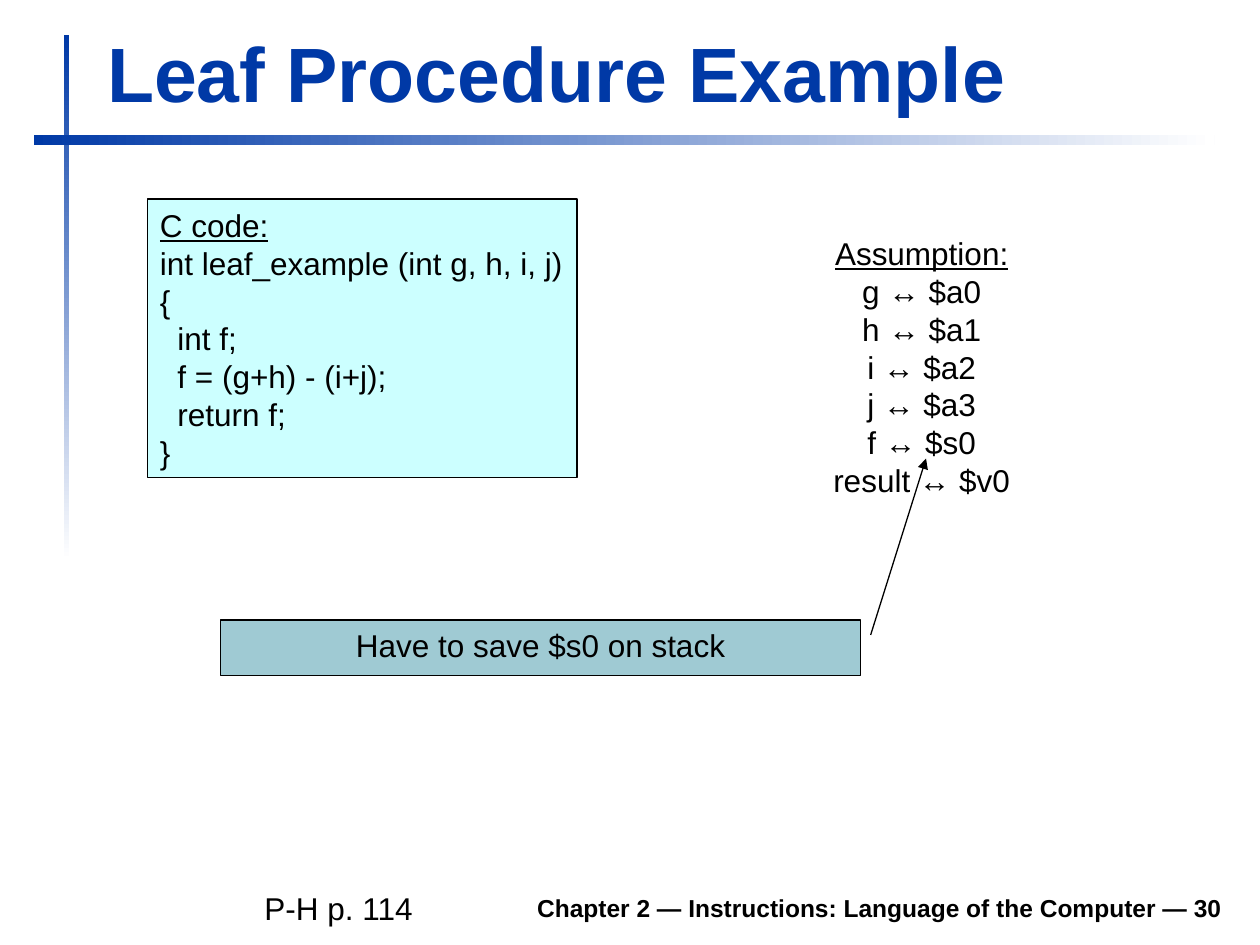
from dataclasses import dataclass

from lxml.etree import SubElement
from pptx import Presentation
from pptx.dml.color import RGBColor
from pptx.enum.shapes import MSO_SHAPE
from pptx.enum.text import MSO_ANCHOR, MSO_AUTO_SIZE, PP_ALIGN
from pptx.oxml.ns import qn
from pptx.util import Inches, Pt


@dataclass(frozen=True)
class Theme:
    font: str = "Arial"
    accent: RGBColor = RGBColor(0x00, 0x39, 0xA6)
    paper: RGBColor = RGBColor(0xFF, 0xFF, 0xFF)
    ink: RGBColor = RGBColor(0x00, 0x00, 0x00)
    code_fill: RGBColor = RGBColor(0xCC, 0xFF, 0xFF)
    note_fill: RGBColor = RGBColor(0x9F, 0xCA, 0xD3)
    title_size: int = 44
    body_size: int = 18
    footer_size: int = 14
    outline: float = 0.75
    line_pitch: float = 1.2


THEME = Theme()
CODE = ["C code:", "int leaf_example (int g, h, i, j)", "{", "  int f;",
        "  f = (g+h) - (i+j);", "  return f;", "}"]
REGISTERS = {"g": "$a0", "h": "$a1", "i": "$a2", "j": "$a3",
             "f": "$s0", "result": "$v0"}


def write(frame, lines, size=THEME.body_size, color=THEME.ink, bold=False,
          align=PP_ALIGN.LEFT, anchor=MSO_ANCHOR.TOP, wrap=True,
          heading=False, pitch=None):
    """Fill a frame; leading spaces become indents, a heading is underlined."""
    frame.auto_size = MSO_AUTO_SIZE.NONE
    frame.word_wrap = wrap
    frame.vertical_anchor = anchor
    for index, line in enumerate(lines):
        paragraph = frame.paragraphs[0] if index == 0 else frame.add_paragraph()
        paragraph.alignment = align
        if pitch:
            paragraph.line_spacing = Pt(size * pitch)
        if line.startswith(" "):
            paragraph._p.get_or_add_pPr().set("marL", str(Inches(0.14)))
        run = paragraph.add_run()
        run.text = line.lstrip()
        font = run.font
        font.name, font.size, font.bold = THEME.font, Pt(size), bold
        font.color.rgb = color
        font.underline = heading and index == 0


def add_label(slide, box, lines, **text_format):
    label = slide.shapes.add_textbox(*map(Inches, box))
    write(label.text_frame, lines, **text_format)


def add_panel(slide, box, fill, preset=MSO_SHAPE.RECTANGLE):
    panel = slide.shapes.add_shape(preset, *map(Inches, box))
    panel.shadow.inherit = False
    panel.fill.solid()
    panel.fill.fore_color.rgb = fill
    panel.line.color.rgb = THEME.ink
    panel.line.width = Pt(THEME.outline)
    return panel


def add_fading_rule(slide, box, angle):
    rule = slide.shapes.add_shape(MSO_SHAPE.RECTANGLE, *map(Inches, box))
    rule.shadow.inherit = False
    rule.line.fill.background()
    rule.fill.gradient()
    rule.fill.gradient_angle = angle
    for stop, color in zip(rule.fill.gradient_stops, (THEME.accent, THEME.paper)):
        stop.color.rgb = color


def add_title(slide, box, text):
    title = slide.shapes.title
    title.left, title.top, title.width, title.height = map(Inches, box)
    write(title.text_frame, [text], size=THEME.title_size, color=THEME.accent,
          bold=True, anchor=MSO_ANCHOR.BOTTOM)


def add_code(slide, box):
    panel = add_panel(slide, box, THEME.code_fill)
    write(panel.text_frame, CODE, anchor=MSO_ANCHOR.MIDDLE, wrap=False,
          heading=True, pitch=THEME.line_pitch)


def add_assumption(slide, box):
    pairs = [f"{name} ↔ {register}" for name, register in REGISTERS.items()]
    add_label(slide, box, ["Assumption:"] + pairs, align=PP_ALIGN.CENTER,
              anchor=MSO_ANCHOR.MIDDLE, wrap=False, heading=True,
              pitch=THEME.line_pitch)


def add_stack_note(slide, box, start, tip):
    """Add a callout whose arrow runs from start to tip, both slide points."""
    left, top, width, height = box
    note = add_panel(slide, box, THEME.note_fill, MSO_SHAPE.LINE_CALLOUT_1)
    for index, (x, y) in enumerate((start, tip)):
        note.adjustments[2 * index] = (y - top) / height
        note.adjustments[2 * index + 1] = (x - left) / width
    SubElement(note.line._get_or_add_ln(), qn("a:tailEnd"), type="triangle")
    write(note.text_frame, ["Have to save $s0 on stack"],
          align=PP_ALIGN.CENTER, pitch=THEME.line_pitch)


def add_footer(slide, box, page_box):
    add_label(slide, box,
              ["Chapter 2 — Instructions: Language of the Computer — 30"],
              size=THEME.footer_size, bold=True, align=PP_ALIGN.RIGHT,
              anchor=MSO_ANCHOR.BOTTOM)
    add_label(slide, page_box, ["P-H p. 114"], wrap=False,
              pitch=THEME.line_pitch)


def main():
    deck = Presentation()
    deck.slide_width, deck.slide_height = Inches(10), Inches(7.5)
    slide = deck.slides.add_slide(deck.slide_layouts[5])
    add_fading_rule(slide, (0.51, 0.28, 0.04, 4.17), angle=270)
    add_fading_rule(slide, (0.27, 1.07, 9.37, 0.08), angle=0)
    add_title(slide, (0.75, 0.16, 9.03, 0.83), "Leaf Procedure Example")
    add_assumption(slide, (6.51, 1.81, 1.61, 2.2))
    add_stack_note(slide, (1.75, 4.92, 5.08, 0.44),
                   start=(6.91, 5.04), tip=(7.35, 3.64))
    add_code(slide, (1.17, 1.58, 3.41, 2.21))
    add_footer(slide, (1.85, 6.98, 7.95, 0.39), (2, 7.01, 1.39, 0.4))
    deck.save("out.pptx")


if __name__ == "__main__":
    main()
